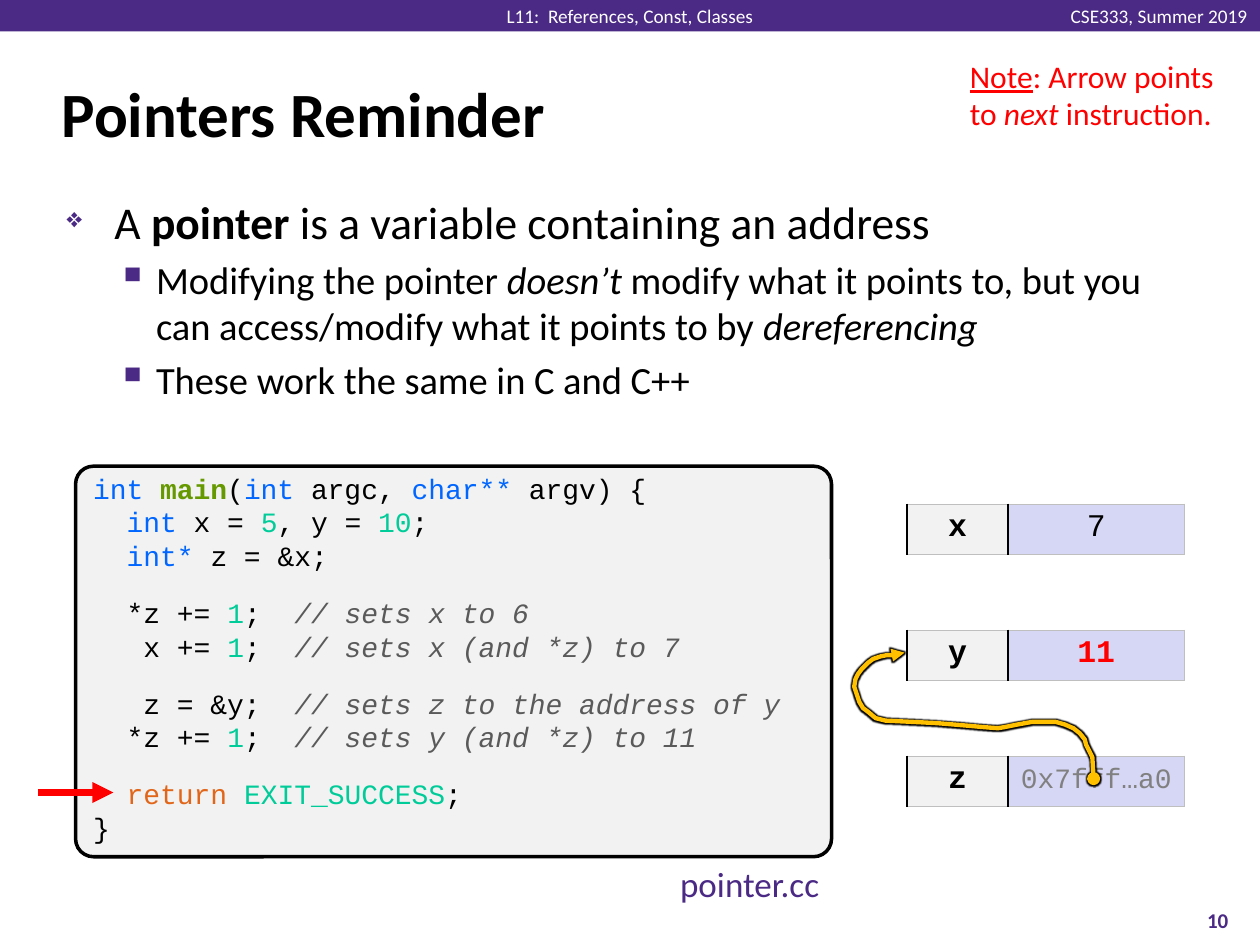
from lxml import etree
from pptx import Presentation
from pptx import util as u
from pptx.dml.color import RGBColor
from pptx.enum import shapes, text
from pptx.oxml import parse_xml
from pptx.oxml.ns import nsdecls, qn

COLORS = {
    "purple": "4B2A85", "white": "FFFFFF", "black": "000000", "red": "FF0000",
    "panel": "F2F2F2", "value": "D6D6F5", "grey": "808080", "edge": "BFBFBF",
    "type": "0066FF", "function": "669900", "literal": "00CC99",
    "comment": "5A5A5A", "keyword": "E2661A", "gold": "FFC000",
}
LEFT, CENTER, RIGHT = text.PP_ALIGN.LEFT, text.PP_ALIGN.CENTER, text.PP_ALIGN.RIGHT
TOP, MIDDLE = text.MSO_ANCHOR.TOP, text.MSO_ANCHOR.MIDDLE
BOLD, ITALIC = {"bold": True}, {"italic": True}
SANS, MONO = "Calibri", "Courier New"


def color(name):
    return RGBColor.from_string(COLORS[name])


def assign(target, values):
    for name, value in values.items():
        setattr(target, name, value)


def add_xml(parent, tag, body="", attributes=""):
    element = parse_xml(f'<a:{tag} {nsdecls("a")} {attributes}>{body}</a:{tag}>')
    parent.append(element)


def solid(name):
    return f'<a:solidFill><a:srgbClr val="{COLORS[name]}"/></a:solidFill>'


class SlideBuilder:
    def __init__(self, page):
        self.page = page

    def add_spans(self, para, spans, size, font=SANS, ink="black", align=LEFT):
        para.alignment = align
        for content, values in spans:
            span = para.add_run()
            span.text = content
            values = dict(values)
            span.font.color.rgb = color(values.pop("ink", ink))
            assign(span.font, {"name": font, "size": u.Pt(size), **values})

    def text_box(self, area, spans, size, ink="black", align=LEFT, anchor=TOP, **frame):
        box = self.page.shapes.add_textbox(*map(u.Inches, area))
        assign(box.text_frame, {"word_wrap": True, "vertical_anchor": anchor, **frame})
        self.add_spans(box.text_frame.paragraphs[0], spans, size, ink=ink, align=align)
        return box

    def bullet(self, para, spans, size, symbol, percent, left, hang):
        para.space_before = u.Pt(size * 0.2)
        self.add_spans(para, spans, size)
        properties = para._p.get_or_add_pPr()
        properties.set("marL", str(u.Inches(left)))
        properties.set("indent", str(-u.Inches(hang)))
        add_xml(properties, "buClr", f'<a:srgbClr val="{COLORS["purple"]}"/>')
        add_xml(properties, "buSzPct", attributes=f'val="{percent * 1000}"')
        add_xml(properties, "buChar", attributes=f'char="{symbol}"')

    def shape(self, kind, area, fill, line=None, width=0):
        shape = self.page.shapes.add_shape(kind, *map(u.Inches, area))
        shape.shadow.inherit = False
        shape.fill.solid()
        shape.fill.fore_color.rgb = color(fill)
        if line:
            shape.line.color.rgb = color(line)
            shape.line.width = u.Pt(width)
        else:
            shape.line.fill.background()
        return shape

    def code(self, area, groups, size, gap):
        panel = self.shape(shapes.MSO_SHAPE.ROUNDED_RECTANGLE, area, "panel", "black", 2)
        panel.adjustments[0] = 0.046
        frame = panel.text_frame
        assign(frame, {"word_wrap": True, "vertical_anchor": TOP,
                       "margin_top": 0, "margin_bottom": u.Inches(0.05)})
        para = frame.paragraphs[0]
        for group_index, group in enumerate(groups):
            for line_index, spans in enumerate(group):
                if group_index or line_index:
                    para = frame.add_paragraph()
                if group_index and not line_index:
                    para.space_before = u.Pt(gap)
                self.add_spans(para, spans, size, MONO)

    def variable(self, area, name, value, value_style, value_size=18, **cell_values):
        table = self.page.shapes.add_table(1, 2, *map(u.Inches, area)).table
        table.first_row = table.horz_banding = False
        columns = (
            (0.8, name, BOLD, 18, "panel", {}),
            (1.4, value, value_style, value_size, "value", cell_values),
        )
        for index, (width, content, style, size, fill, values) in enumerate(columns):
            table.columns[index].width = u.Inches(width)
            cell = table.cell(0, index)
            assign(cell, values)
            para = cell.text_frame.paragraphs[0]
            self.add_spans(para, [(content, style)], size, MONO, align=CENTER)
            properties = cell._tc.get_or_add_tcPr()
            for side in ("lnL", "lnR", "lnT", "lnB"):
                dark = side == "lnL" or (side == "lnR" and index == 0)
                weight = u.Pt(1 if dark else 0.5)
                add_xml(properties, side, solid("black" if dark else "edge"), f'w="{weight}"')
            cell.fill.solid()
            cell.fill.fore_color.rgb = color(fill)

    def arrow_ends(self, shape, ink, width, head=None):
        shape.line.color.rgb = color(ink)
        shape.line.width = u.Pt(width)
        line = shape.line._get_or_add_ln()
        if head:
            add_xml(line, "headEnd", attributes=f'type="{head}"')
        add_xml(line, "tailEnd", attributes='type="triangle"')

    def arrow(self, start, end, ink, width):
        arrow = self.page.shapes.add_connector(
            shapes.MSO_CONNECTOR.STRAIGHT, *map(u.Inches, start + end))
        self.arrow_ends(arrow, ink, width)
        etree.SubElement(arrow._element.spPr, qn("a:effectLst"))

    def curve(self, points, ink, width):
        builder = self.page.shapes.build_freeform(*points[0], scale=u.Inches(0.01))
        builder.add_line_segments(points[1:], close=False)
        curve = builder.convert_to_shape()
        curve.fill.background()
        self.arrow_ends(curve, ink, width, "oval")
        glow = f'<a:glow rad="{u.Pt(1.5)}"><a:srgbClr val="{COLORS["black"]}"/></a:glow>'
        add_xml(curve._element.spPr, "effectLst", glow)


def plain(content):
    return content, {}


def ink(content, name, **style):
    return content, {"ink": name, **style}


def increment(target, note):
    return [plain(f"{target} += "), ink("1", "literal"), plain(";  "),
            ink(note, "comment", italic=True)]


CODE = [
    [
        [ink("int ", "type"), ink("main", "function", bold=True), plain("("),
         ink("int ", "type"), plain("argc, "), ink("char** ", "type"), plain("argv) {")],
        [ink("  int", "type"), plain(" x = "), ink("5", "literal"), plain(", y = "),
         ink("10", "literal"), plain(";")],
        [ink("  int* ", "type"), plain("z = &x;")],
    ],
    [increment("  *z", "// sets x to 6"), increment("   x", "// sets x (and *z) to 7")],
    [
        [plain("   z = &y;  "), ink("// sets z to the address of y", "comment", italic=True)],
        increment("  *z", "// sets y (and *z) to 11"),
    ],
    [[ink("  return ", "keyword"), ink("EXIT_SUCCESS", "literal"), plain(";")], [plain("}")]],
]
POINTER_CURVE = [
    (868, 618), (867, 601), (865, 597), (862, 591), (861, 587), (857, 582), (852, 578),
    (845, 575), (838, 573), (819, 573), (808, 575), (798, 577), (792, 578), (779, 577),
    (768, 576), (756, 575), (744, 574), (725, 573), (703, 572), (695, 570), (689, 565),
    (685, 562), (682, 557), (680, 551), (678, 545), (679, 539), (681, 535), (684, 531),
    (689, 526), (693, 523), (699, 521), (704, 520), (711, 520), (718, 518),
]


def main():
    deck = Presentation()
    assign(deck, {"slide_width": u.Inches(10), "slide_height": u.Inches(7.5)})
    page = SlideBuilder(deck.slides.add_slide(deck.slide_layouts[6]))

    page.shape(shapes.MSO_SHAPE.RECTANGLE, (0, 0, 10, 0.25), "purple")
    headers = (
        (8.38, 1.62, "CSE333, Summer 2019", RIGHT),
        (3.91, 2.18, "L11:  References, Const, Classes", CENTER),
    )
    for left, width, content, align in headers:
        page.text_box((left, 0.03, width, 0.19), [plain(content)], 11, "white", align, MIDDLE,
                      word_wrap=False, margin_top=0, margin_bottom=0)
    page.text_box((0.39, 0.48, 9.19, 0.83), [("Pointers Reminder", BOLD)], 36, anchor=MIDDLE)

    body = page.text_box((0.43, 1.49, 9.15, 2), [], 26).text_frame
    page.bullet(body.paragraphs[0],
                [plain("A "), ("pointer", BOLD), plain(" is a variable containing an address")],
                26, "❖", 60, 0.38, 0.38)
    details = (
        [plain("Modifying the pointer "), ("doesn’t", ITALIC),
         plain(" modify what it points to, but you can access/modify what it points to by "),
         ("dereferencing", ITALIC)],
        [plain("These work the same in C and C++")],
    )
    for spans in details:
        para = body.add_paragraph()
        para.level = 1
        page.bullet(para, spans, 22, "▪", 110, 0.71, 0.31)

    page.text_box((9.33, 7.1, 0.67, 0.4), [("10", BOLD)], 12, "purple", CENTER, MIDDLE)
    page.code((0.6, 3.7, 6, 3.1), CODE, 16, 13.4)
    page.text_box((4.6, 6.8, 2, 0.44), [plain("pointer.cc")], 20, "purple", RIGHT)

    variables = (
        ("x", "7", {}, {}),
        ("y", "11", {"bold": True, "ink": "red"}, {}),
        ("z", "0x7fff…a0", {"ink": "grey"},
         {"value_size": 16, "vertical_anchor": MIDDLE, "margin_left": 0, "margin_right": 0}),
    )
    for row, (name, value, style, options) in enumerate(variables):
        page.variable((7.2, 4 + row, 2.2, 0.4), name, value, style, **options)

    page.arrow((0.3, 6.29), (0.9, 6.29), "red", 4)
    page.text_box((7.6, 0.4, 2.3, 0.71),
                  [("Note", {"underline": True}), plain(": Arrow points to "),
                   ("next", ITALIC), plain(" instruction.")], 18, "red")
    page.curve(POINTER_CURVE, "gold", 2.5)
    deck.save("out.pptx")


if __name__ == "__main__":
    main()
